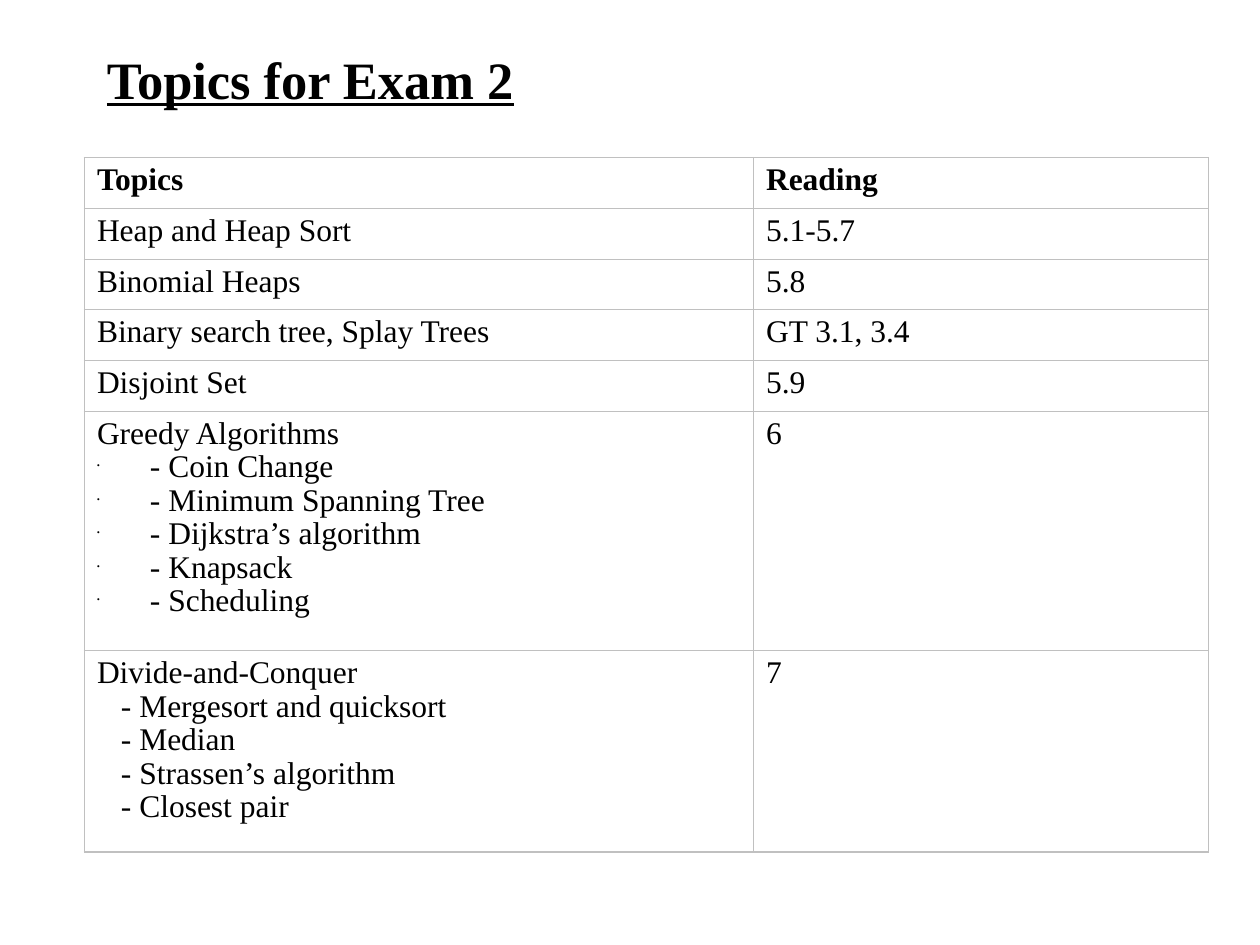
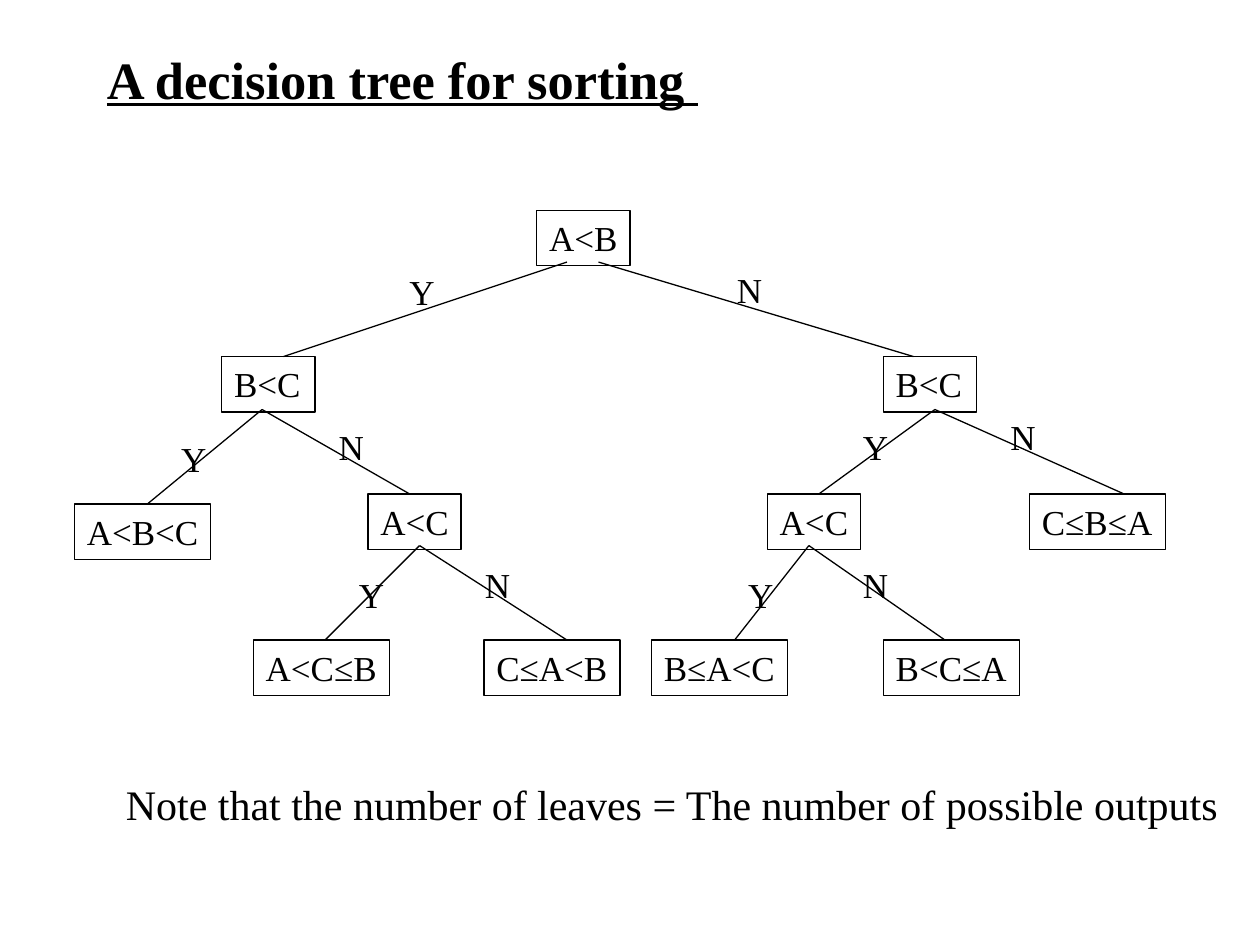
from lxml import etree
from pptx import Presentation
from pptx.dml.color import RGBColor
from pptx.enum import shapes, text
from pptx.oxml import ns
from pptx.util import Inches, Pt

COLORS = {"ink": "000000", "grid": "C0C0C0"}
FONT = "Times New Roman"
OUTER, INNER = 0.96, 0.45  # table border widths in points

# Each topic: heading, sub-topics, indent of the sub-topics, bulleted, reading
TOPICS = [
    ("Topics", [], 0, False, "Reading"),
    ("Heap and Heap Sort", [], 0, False, "5.1-5.7"),
    ("Binomial Heaps", [], 0, False, "5.8"),
    ("Binary search tree, Splay Trees", [], 0, False, "GT 3.1, 3.4"),
    ("Disjoint Set", [], 0, False, "5.9"),
    ("Greedy Algorithms",
     ["Coin Change", "Minimum Spanning Tree", "Dijkstra’s algorithm",
      "Knapsack", "Scheduling"], 0.42, True, "6"),
    ("Divide-and-Conquer",
     ["Mergesort and quicksort", "Median", "Strassen’s algorithm",
      "Closest pair"], 0.19, False, "7"),
]
ROW_HEIGHTS = [0.403] * 5 + [1.9, 1.6]

# Nodes: text, left, top within the tree box
NODES = [
    ("A<B", 3.76, 0.17),
    ("B<C", 1.26, 1.33), ("B<C", 6.51, 1.33),
    ("A<B<C", 0.09, 2.5), ("A<C", 2.42, 2.42),
    ("A<C", 5.59, 2.42), ("C≤B≤A", 7.67, 2.42),
    ("A<C≤B", 1.51, 3.58), ("C≤A<B", 3.34, 3.58),
    ("B≤A<C", 4.67, 3.58), ("B<C≤A", 6.51, 3.58),
]
# Branches: answer, start, end, left and top of the answer
BRANCHES = [
    ("Y", (4, 0.58), (1.75, 1.33), (2.65, 0.6)),
    ("N", (4.25, 0.58), (6.75, 1.33), (5.25, 0.58)),
    ("Y", (1.58, 1.75), (0.67, 2.5), (0.84, 1.92)),
    ("N", (1.58, 1.75), (2.75, 2.42), (2.09, 1.83)),
    ("Y", (6.92, 1.75), (6, 2.42), (6.25, 1.83)),
    ("N", (6.92, 1.75), (8.42, 2.42), (7.42, 1.75)),
    ("Y", (2.83, 2.83), (2.08, 3.58), (2.25, 3)),
    ("N", (2.83, 2.83), (4, 3.58), (3.25, 2.92)),
    ("Y", (5.92, 2.83), (5.33, 3.58), (5.34, 3)),
    ("N", (5.92, 2.83), (7, 3.58), (6.25, 2.92)),
]


def rgb(name):
    """Look up a colour of the palette."""
    return RGBColor.from_string(COLORS[name])


def style(p, size, bold=False, underline=False):
    """Format every run of a paragraph."""
    for r in p.runs:
        r.font.name = FONT
        r.font.size = Pt(size)
        r.font.bold = bold
        r.font.underline = underline
        r.font.color.rgb = rgb("ink")


def fill_text(sp, words, size, **look):
    """Put one left-aligned, unwrapped line into a shape."""
    tf = sp.text_frame
    tf.text = words
    tf.word_wrap = False
    tf.vertical_anchor = text.MSO_ANCHOR.TOP
    p = tf.paragraphs[0]
    p.alignment = text.PP_ALIGN.LEFT
    style(p, size, **look)
    return tf


def add_label(s, words, box, size=20):
    """Add a plain one-line text box."""
    sp = s.shapes.add_textbox(*map(Inches, box))
    return fill_text(sp, words, size)


def add_title(s, words, box=(0.75, 0.33, 6.75, 0.58)):
    """Add the bold underlined title shared by the slides."""
    sp = s.shapes.add_textbox(*map(Inches, box))
    tf = fill_text(sp, words, 30, bold=True, underline=True)
    tf.word_wrap = True
    tf.vertical_anchor = text.MSO_ANCHOR.MIDDLE


def set_indent(p, indent, bulleted):
    """Indent a sub-topic, with a tiny hanging bullet if wanted."""
    pPr = p._p.get_or_add_pPr()
    pPr.set("marL", str(Inches(indent)))
    pPr.set("indent", str(-Inches(indent) if bulleted else 0))
    if bulleted:
        etree.SubElement(pPr, ns.qn("a:buSzPct"), val="25000")
        etree.SubElement(pPr, ns.qn("a:buChar"), char="•")


def set_borders(cell, widths):
    """Draw the cell borders; widths maps L, R, T and B to points."""
    tcPr = cell._tc.get_or_add_tcPr()
    for side, width in widths.items():
        ln = etree.SubElement(tcPr, ns.qn("a:ln" + side), w=str(Pt(width)))
        fill = etree.SubElement(ln, ns.qn("a:solidFill"))
        etree.SubElement(fill, ns.qn("a:srgbClr"), val=COLORS["grid"])


def add_topics(s, box):
    """Add the table of topics and readings."""
    rows, cols = len(TOPICS), 2
    table = s.shapes.add_table(rows, cols, *map(Inches, box)).table
    table.first_row = table.horz_banding = False
    table.columns[0].width = Inches(5.31)
    table.columns[1].width = Inches(box[2] - 5.31)
    for i, (topic, subs, indent, bulleted, reading) in enumerate(TOPICS):
        table.rows[i].height = Inches(ROW_HEIGHTS[i])
        lines = [topic] + ["- " + sub for sub in subs]
        for j, words in enumerate(["\n".join(lines), reading]):
            cell = table.cell(i, j)
            cell.text_frame.text = words
            for k, p in enumerate(cell.text_frame.paragraphs):
                p.line_spacing = 0.96
                style(p, 18, bold=i == 0)
                if k:
                    set_indent(p, indent, bulleted)
            edges = {"L": j == 0, "R": j == cols - 1,
                     "T": i == 0, "B": i == rows - 1}
            set_borders(cell, {side: OUTER if outer else INNER
                               for side, outer in edges.items()})
            cell.fill.background()


def add_node(s, words, left, top):
    """Add one outlined node, as wide as its text needs."""
    width = 0.74 if len(words) == 3 else 1.08
    sp = s.shapes.add_shape(shapes.MSO_SHAPE.RECTANGLE, Inches(left),
                            Inches(top), Inches(width), Inches(0.44))
    sp.shadow.inherit = False
    sp.fill.background()
    sp.line.color.rgb = rgb("ink")
    sp.line.width = Pt(0.74)
    fill_text(sp, words, 20)


def add_branch(s, start, end):
    """Add one straight line of the tree."""
    line = s.shapes.add_connector(shapes.MSO_CONNECTOR.STRAIGHT,
                                  *map(Inches, start + end))
    line.line.color.rgb = rgb("ink")
    line.line.width = Pt(0.74)
    etree.SubElement(line._element.spPr, ns.qn("a:effectLst"))


def add_tree(s, left, top):
    """Add the decision tree with its origin at left, top."""
    def place(point):
        return left + point[0], top + point[1]

    for words, x, y in NODES:
        add_node(s, words, *place((x, y)))
    for _, start, end, _ in BRANCHES:
        add_branch(s, place(start), place(end))
    for answer, _, _, spot in BRANCHES:
        add_label(s, answer, place(spot) + (0.4, 0.44))


def topics_slide(prs):
    """Build the slide that lists the exam topics."""
    s = prs.slides.add_slide(prs.slide_layouts[6])
    add_title(s, "Topics for Exam 2")
    add_topics(s, (0.67, 1.25, 8.92, 5.5))


def tree_slide(prs):
    """Build the slide with the decision tree."""
    s = prs.slides.add_slide(prs.slide_layouts[6])
    add_title(s, "A decision tree for sorting ")
    add_tree(s, 0.5, 1.5)
    add_label(s, "Note that the number of leaves = "
              "The number of possible outputs", (0.9, 6.13, 8.87, 0.5), 24)


prs = Presentation()
prs.slide_width, prs.slide_height = Inches(10), Inches(7.5)
topics_slide(prs)
tree_slide(prs)
prs.save("out.pptx")
